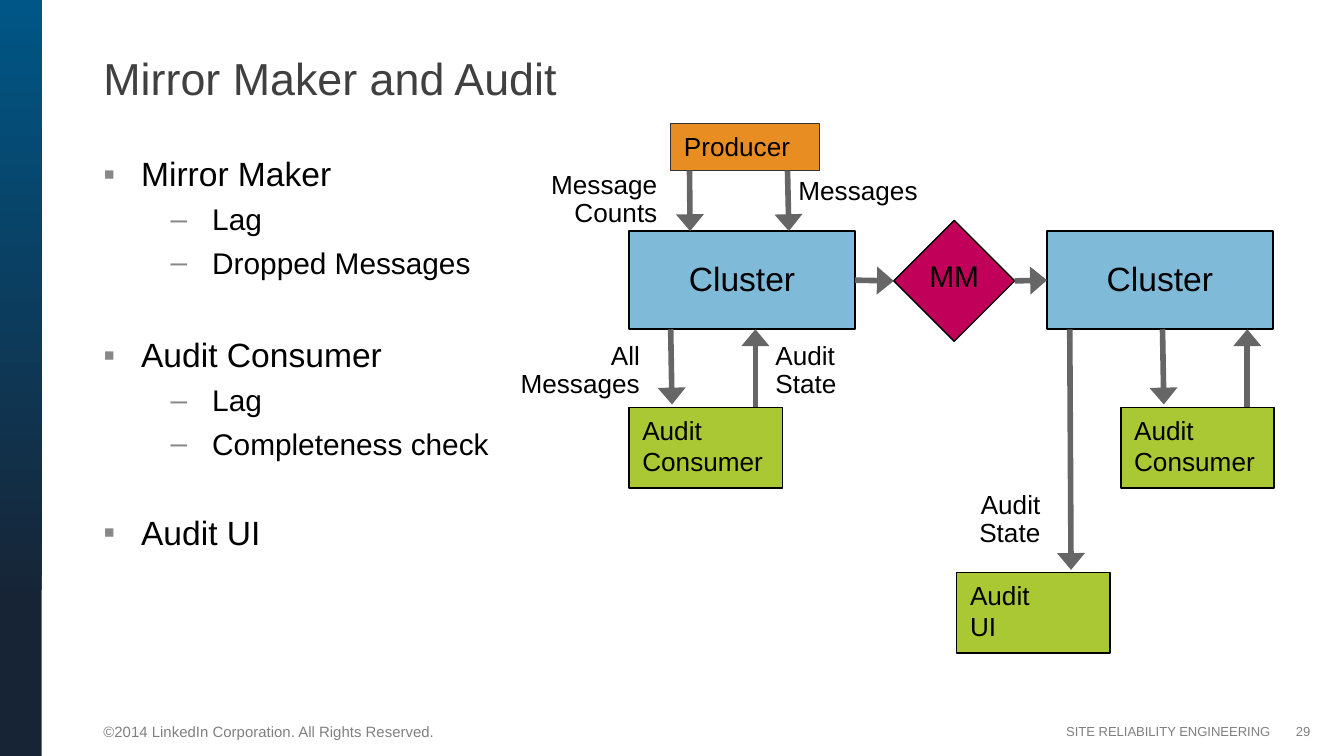
from lxml import etree
from pptx import Presentation
from pptx import util as u
from pptx.dml.color import RGBColor
from pptx.enum import shapes, text
from pptx.oxml import ns

Pt = u.Pt
COLORS = {
    "ink": "000000", "title": "404040", "footer": "808080", "bullet": "888888",
    "arrow": "666666", "orange": "E88D21", "blue": "0077B5", "pink": "C10059",
    "green": "A9C833", "edge": "333333", "navy": "172436", "sea": "005686",
}
LEFT, RIGHT, CENTER = text.PP_ALIGN.LEFT, text.PP_ALIGN.RIGHT, text.PP_ALIGN.CENTER
TOP, MIDDLE = text.MSO_ANCHOR.TOP, text.MSO_ANCHOR.MIDDLE
RECT, DIAMOND = shapes.MSO_SHAPE.RECTANGLE, shapes.MSO_SHAPE.DIAMOND


def rgb(name):
    return RGBColor.from_string(COLORS[name])


def child(parent, tag, **attrs):
    return etree.SubElement(parent, ns.qn(tag), attrs)


def frame(sp, insets, anchor=TOP, wrap=True):
    tf = sp.text_frame
    tf.auto_size = text.MSO_AUTO_SIZE.NONE
    tf.word_wrap = wrap
    tf.vertical_anchor = anchor
    tf.margin_left, tf.margin_top, tf.margin_right, tf.margin_bottom = map(Pt, insets)
    return tf


def style(p, size, color="ink", align=LEFT):
    p.alignment = align
    p.font.size = Pt(size)
    p.font.name = "Arial"
    p.font.color.rgb = rgb(color)


def write(tf, lines, size, color="ink", align=LEFT, spacing=None, before=0):
    for i, line in enumerate(lines):
        p = tf.add_paragraph() if i else tf.paragraphs[0]
        p.text = line
        if spacing:
            p.line_spacing = spacing
        if i and before:
            p.space_before = Pt(before)
        style(p, size, color, align)


def place(sp, x, y, w, h):
    sp.left, sp.top, sp.width, sp.height = map(Pt, (x, y, w, h))


def node(s, x, y, w, h, fill, lines, size=14, kind=RECT, align=LEFT,
         edge="ink", spacing=None, alpha=None, wrap=True):
    sp = s.shapes.add_shape(kind, *map(Pt, (x, y, w, h)))
    sp.shadow.inherit = False
    sp.fill.solid()
    sp.fill.fore_color.rgb = rgb(fill)
    if alpha:
        child(sp.fill._xPr.find(".//" + ns.qn("a:srgbClr")), "a:alpha", val=str(alpha * 1000))
    sp.line.color.rgb = rgb(edge)
    sp.line.width = Pt(0.75)
    write(frame(sp, (7.2, 3.6, 7.2, 3.6), wrap=wrap), lines, size, align=align, spacing=spacing)
    return sp


def arrow(s, x1, y1, x2, y2):
    c = s.shapes.add_connector(shapes.MSO_CONNECTOR.STRAIGHT, *map(Pt, (x1, y1, x2, y2)))
    c.line.color.rgb = rgb("arrow")
    c.line.width = Pt(3)
    child(c.line._get_or_add_ln(), "a:tailEnd", type="triangle", w="lg", len="med")
    child(c._element.spPr, "a:effectLst")
    return c


def join(s, start, end):
    c = arrow(s, 0, 0, 0, 0)
    c.begin_connect(start, 3)
    c.end_connect(end, 1)


def label(s, x, y, lines, align=LEFT):
    sp = s.shapes.add_textbox(*map(Pt, (x, y, 68.4, 27.4)))
    write(frame(sp, (0, 3.6, 7.2, 3.6), wrap=False), lines, 14, align=align, spacing=0.7, before=3)


def cluster(s, x, y):
    return node(s, x, y, 121, 52.6, "blue", ["Cluster"], 18, align=CENTER, spacing=1.5, alpha=50)


def audit_box(s, x, y, name):
    node(s, x, y, 82.1, 43.2, "green", ["Audit", name])


def audit_consumer(s, x, y):
    audit_box(s, x, y + 41.8, "Consumer")
    arrow(s, x + 22.3, y, x + 23, y + 40.3)
    arrow(s, x + 67.7, y + 41.8, x + 67.7, y)


def diagram(s, x, y):
    bottom = y + 110.2
    node(s, x + 77.8, y, 79.9, 25.2, "orange", ["Producer"], edge="edge")
    source = cluster(s, x + 55.5, y + 57.6)
    target = cluster(s, x + 279.4, y + 57.6)
    mirror = node(s, x + 197.3, y + 51.9, 64.8, 64.8, "pink", ["MM"], 16, DIAMOND, CENTER, wrap=False)
    join(s, source, mirror)
    join(s, mirror, target)
    arrow(s, x + 87.9, y + 25.2, x + 88.2, y + 57.6)
    arrow(s, x + 140.4, y + 25.2, x + 141.1, y + 57.6)
    audit_consumer(s, x + 55.5, bottom)
    audit_consumer(s, x + 319, bottom)
    audit_box(s, x + 231.1, y + 240.5, "UI")
    arrow(s, x + 291.6, bottom, x + 292.3, y + 239.1)
    label(s, x + 146.2, y + 28.1, ["Messages"])
    label(s, x + 9.4, y + 25.2, ["Message", "Counts"], RIGHT)
    label(s, x, y + 116.7, ["All", "Messages"], RIGHT)
    label(s, x + 133.9, y + 116.7, ["Audit", "State"])
    label(s, x + 214.6, y + 196.6, ["Audit", "State"], RIGHT)


def side_band(s, x, y, w, h):
    sp = s.shapes.add_shape(shapes.MSO_SHAPE.ROUND_2_SAME_RECTANGLE, *map(Pt, (x, y, w, h)))
    sp.adjustments[0] = sp.adjustments[1] = 0
    sp.shadow.inherit = False
    sp.line.fill.background()
    sp.fill.gradient()
    sp.fill.gradient_angle = 90
    for stop, (position, color) in zip(sp.fill.gradient_stops, ((0.2, "navy"), (1, "sea"))):
        stop.position = position
        stop.color.rgb = rgb(color)


def title(s, x, y, w, h):
    sp = s.shapes.title
    place(sp, x, y, w, h)
    write(frame(sp, (0, 3.6, 0, 3.6), MIDDLE), ["Mirror Maker and Audit"], 24, "title")


def topics(s, x, y, w, h):
    sp = s.placeholders[1]
    place(sp, x, y, w, h)
    tf = frame(sp, (0, 3.6, 7.2, 3.6))
    items = [
        (0, "Mirror Maker", 0), (1, "Lag", 4), (1, "Dropped Messages", 4),
        (0, "Audit Consumer", 29), (1, "Lag", 4), (1, "Completeness check", 4),
        (0, "Audit UI", 27),
    ]
    levels = [(20.2, -20.2, "▪", 18), (58.3, -22.3, "–", 16)]
    for i, (level, line, before) in enumerate(items):
        margin, indent, bullet, size = levels[level]
        p = tf.add_paragraph() if i else tf.paragraphs[0]
        p.text = line
        p.level = level
        p.space_before = Pt(before)
        pPr = p._p.get_or_add_pPr()
        pPr.set("marL", str(Pt(margin)))
        pPr.set("indent", str(Pt(indent)))
        child(child(pPr, "a:buClr"), "a:srgbClr", val=COLORS["bullet"])
        child(pPr, "a:buChar", char=bullet)
        style(p, size)


def footer(s, x, y, w, h):
    parts = [
        (0, 228.2, "©2014 LinkedIn Corporation. All Rights Reserved.", 8, LEFT, (0, 0, 7.2, 0)),
        (487.5, 144.7, "SITE RELIABILITY ENGINEERING", 7, RIGHT, (7.2, 0, 7.2, 0)),
        (w - 167.8, 167.8, "29", 7, RIGHT, (7.2, 0, 0, 0)),
    ]
    for dx, width, line, size, align, insets in parts:
        sp = s.shapes.add_textbox(*map(Pt, (x + dx, y, width, h)))
        write(frame(sp, insets, MIDDLE), [line], size, "footer", align)


def main():
    prs = Presentation()
    prs.slide_width, prs.slide_height = Pt(720), Pt(405)
    s = prs.slides.add_slide(prs.slide_layouts[1])
    side_band(s, 0, 0, 22.3, 405)
    title(s, 55.4, 12.2, 627.1, 59)
    topics(s, 55.4, 78.5, 627.1, 280.8)
    diagram(s, 281.5, 66.2)
    footer(s, 55.4, 385, 646.6, 13.5)
    prs.save("out.pptx")


if __name__ == "__main__":
    main()
